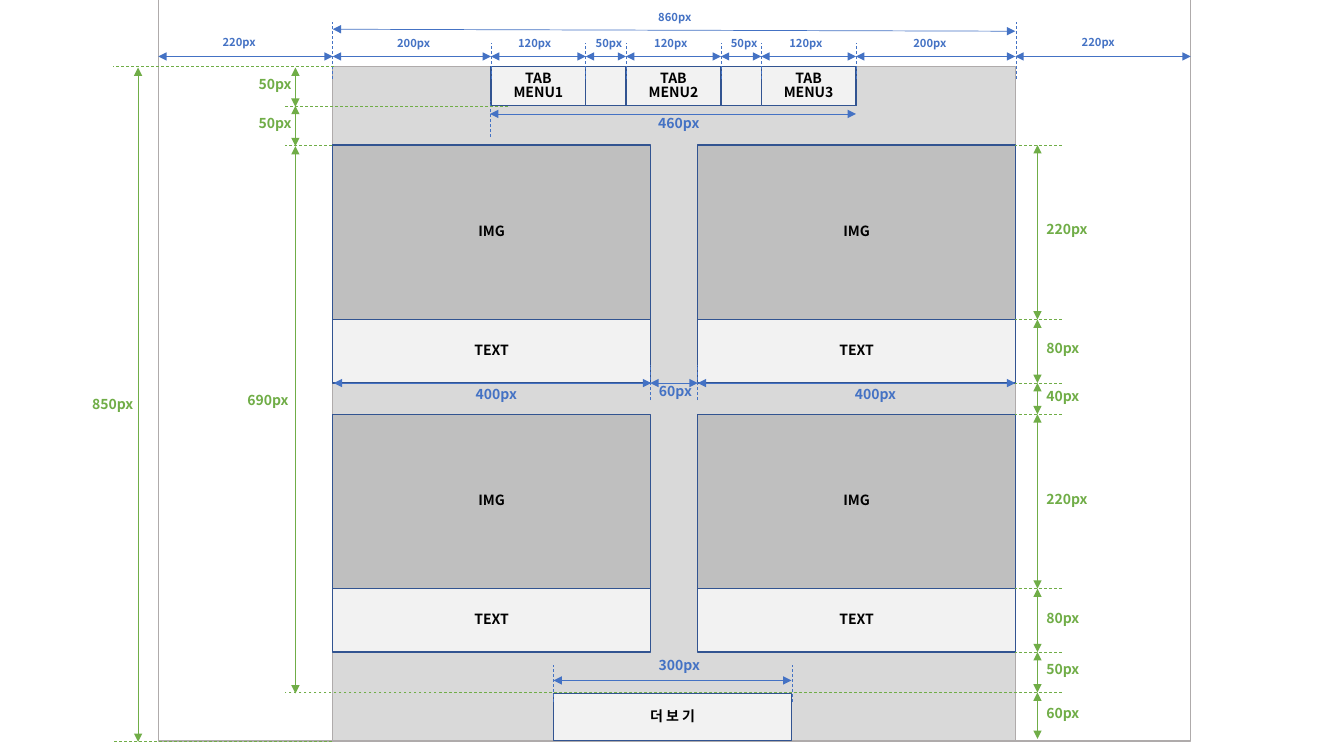
from itertools import pairwise

from lxml.etree import SubElement
from pptx import Presentation
from pptx.dml.color import RGBColor
from pptx.enum.dml import MSO_LINE
from pptx.enum.shapes import MSO_CONNECTOR, MSO_SHAPE
from pptx.enum.text import MSO_ANCHOR, MSO_AUTO_SIZE, PP_ALIGN as Align
from pptx.oxml.ns import qn
from pptx.util import Inches, Pt

FONT = "Noto Sans CJK KR"
COLORS = {
    "page": "D9D9D9", "image": "BFBFBF", "light": "F2F2F2",
    "frame": "AFABAB", "outline": "325491", "ink": "000000",
    "across": "4472C4", "down": "70AD47",
}
LINE_SPACING = 0.84

COLUMN_LEFTS = (3.3, 6.92)
CARD_WIDTH = 3.15
ROW_TOPS = (1.44, 4.11)
IMAGE_HEIGHT, TEXT_HEIGHT = 1.73, 0.63
TAB_LEFTS = (4.87, 6.21, 7.55)

HEADER_STOPS = (1.57, 3.3, 4.87, 5.81, 6.21, 7.15, 7.55, 8.49, 10.07, 11.81)
HEADER_LABELS = (
    (2.11, "220px"), (3.84, "200px"), (5.04, "120px"), (5.62, "50px"),
    (6.39, "120px"), (6.96, "50px"), (7.73, "120px"), (8.96, "200px"),
    (10.63, "220px"),
)
SIDE_STOPS = (1.44, 3.17, 3.8, 4.11, 5.84, 6.47, 6.87, 7.33)
SIDE_LABELS = ("220px", "80px", "40px", "220px", "80px", "50px", "60px")


def color(name):
    return RGBColor.from_string(COLORS[name])


def format_text(frame, text, size, ink, align):
    frame.text = text
    for para in frame.paragraphs:
        para.alignment = align
        para.line_spacing = LINE_SPACING
        for span in para.runs:
            span.font.name = FONT
            span.font.size = Pt(size)
            span.font.bold = True
            span.font.color.rgb = color(ink)
            east_asian = SubElement(span.font._element, qn("a:ea"))
            east_asian.set("typeface", FONT)


def add_box(page, left, top, width, height, fill=None, line="outline", text=""):
    box = page.shapes.add_shape(
        MSO_SHAPE.RECTANGLE, Inches(left), Inches(top), Inches(width), Inches(height))
    box.shadow.inherit = False
    if fill:
        box.fill.solid()
        box.fill.fore_color.rgb = color(fill)
    else:
        box.fill.background()
    box.line.color.rgb = color(line)
    box.line.width = Pt(1)
    if text:
        box.text_frame.vertical_anchor = MSO_ANCHOR.MIDDLE
        format_text(box.text_frame, text, 10, "ink", Align.CENTER)


def add_label(page, left, top, width, text, ink, size=10, align=Align.LEFT, wrap=True):
    height = 0.27 if size == 10 else 0.24
    box = page.shapes.add_textbox(
        Inches(left), Inches(top), Inches(width), Inches(height))
    box.text_frame.word_wrap = wrap
    box.text_frame.auto_size = MSO_AUTO_SIZE.SHAPE_TO_FIT_TEXT
    format_text(box.text_frame, text, size, ink, align)


def add_line(page, x1, y1, x2, y2, ink):
    line = page.shapes.add_connector(
        MSO_CONNECTOR.STRAIGHT, Inches(x1), Inches(y1), Inches(x2), Inches(y2))
    line.line.color.rgb = color(ink)
    line.line.width = Pt(0.5)
    SubElement(line._element.spPr, qn("a:effectLst"))
    return line


def add_guide(page, x1, y1, x2, y2, ink):
    add_line(page, x1, y1, x2, y2, ink).line.dash_style = MSO_LINE.DASH


def add_arrow(page, x1, y1, x2, y2, ink):
    """Draw a dimension line with a triangle at both ends."""
    outline = add_line(page, x1, y1, x2, y2, ink).line._get_or_add_ln()
    for end in ("a:headEnd", "a:tailEnd"):
        SubElement(outline, qn(end)).set("type", "triangle")


def add_layout_boxes(page):
    add_box(page, 3.3, 0.66, 6.77, 6.69, "page", "frame")
    add_box(page, 4.87, 0.66, 3.62, 0.39, "light")
    add_box(page, 1.57, -0.2, 10.24, 7.55, None, "frame")
    for number, left in enumerate(TAB_LEFTS, 1):
        add_box(page, left, 0.66, 0.94, 0.39, "light", text=f"TAB\nMENU{number}")
    for top in ROW_TOPS:
        for left in COLUMN_LEFTS:
            add_box(page, left, top, CARD_WIDTH, IMAGE_HEIGHT, "image", text="IMG")
    for top in ROW_TOPS:
        for left in COLUMN_LEFTS:
            add_box(page, left, top + IMAGE_HEIGHT, CARD_WIDTH, TEXT_HEIGHT,
                    "light", text="TEXT")
    add_box(page, 5.49, 6.88, 2.36, 0.47, "light", text="더 보 기")


def add_header_dimensions(page):
    for x in HEADER_STOPS[2:-2]:
        add_guide(page, x, 0.78, x, 0.43, "across")
    for x in (3.3, 10.08):
        add_guide(page, x, 0.78, x, 0.22, "across")
    for start, end in pairwise(HEADER_STOPS):
        add_arrow(page, end, 0.56, start, 0.56, "across")
    for left, text in HEADER_LABELS:
        margin = text == "220px"
        add_label(page, left, 0.32 if margin else 0.33, 0.53 if margin else 0.65,
                  text, "across", 8,
                  Align.RIGHT if text == "50px" else Align.LEFT, not margin)
    add_arrow(page, 10.07, 0.31, 3.3, 0.29, "across")
    add_label(page, 6.43, 0.08, 0.72, "860px", "across", 8)


def add_inner_dimensions(page):
    for x, top, bottom in ((4.86, 1, 1.36), (6.45, 3.62, 3.97), (6.92, 3.62, 3.97),
                           (5.49, 6.6, 6.96), (7.86, 6.6, 6.96)):
        add_guide(page, x, bottom, x, top, "across")
    for start, end, y in ((4.86, 8.49, 1.13), (3.31, 6.46, 3.8), (6.45, 6.92, 3.8),
                          (6.92, 10.07, 3.8), (5.49, 7.85, 6.75)):
        add_arrow(page, end, y, start, y, "across")
    for left, top, width, text, align in (
            (6.43, 1.11, 0.72, "460px", Align.LEFT),
            (4.62, 3.8, 0.65, "400px", Align.LEFT),
            (8.38, 3.8, 0.65, "400px", Align.LEFT),
            (6.41, 3.77, 0.55, "60px", Align.RIGHT),
            (6.41, 6.49, 0.63, "300px", Align.RIGHT)):
        add_label(page, left, top, width, text, "across", align=align)


def add_left_dimensions(page):
    for start, end, y in ((1.12, 3.31, 0.66), (2.83, 5.04, 1.06), (2.83, 3.29, 1.44),
                          (2.83, 10.53, 6.87), (1.12, 3.29, 7.35)):
        add_guide(page, end, y, start, y, "down")
    for x, top, bottom in ((1.37, 0.67, 7.36), (2.93, 0.67, 1.06),
                           (2.93, 1.05, 1.45), (2.93, 1.45, 6.88)):
        add_arrow(page, x, top, x, bottom, "down")
    for left, top, text in ((2.36, 0.73, "50px"), (2.36, 1.11, "50px"),
                            (2.33, 3.86, "690px"), (0.79, 3.9, "850px")):
        add_label(page, left, top, 0.63, text, "down", align=Align.RIGHT)


def add_right_dimensions(page):
    for y in SIDE_STOPS[:-2]:
        add_guide(page, 10.53, y, 10.07, y, "down")
    for (top, bottom), text in zip(pairwise(SIDE_STOPS), SIDE_LABELS):
        add_arrow(page, 10.29, top, 10.29, bottom, "down")
        add_label(page, 10.28, (top + bottom - 0.27) / 2, 0.63, text, "down")


def main():
    deck = Presentation()
    deck.slide_width, deck.slide_height = Inches(13.33), Inches(7.5)
    page = deck.slides.add_slide(deck.slide_layouts[6])
    add_layout_boxes(page)
    add_header_dimensions(page)
    add_inner_dimensions(page)
    add_left_dimensions(page)
    add_right_dimensions(page)
    deck.save("out.pptx")


if __name__ == "__main__":
    main()
